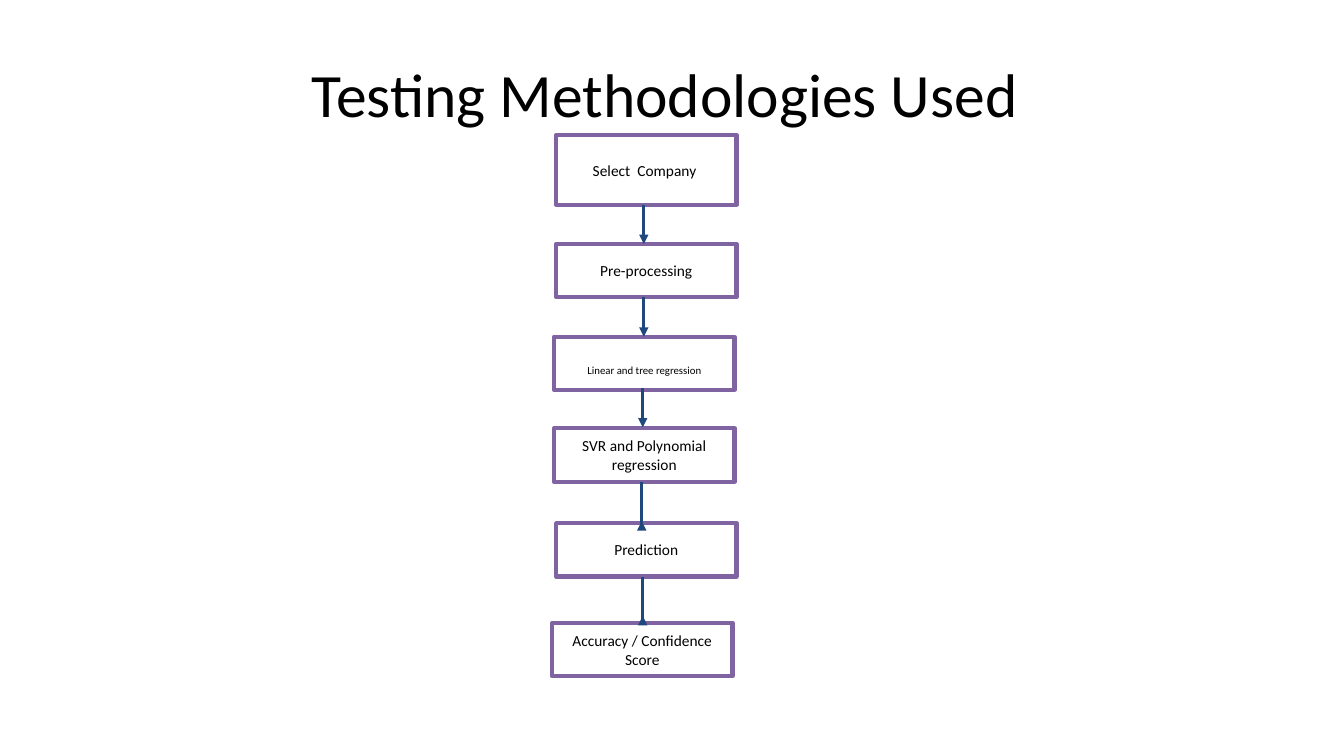
from lxml import etree
from pptx import Presentation
from pptx.dml.color import RGBColor
from pptx.enum.shapes import MSO_CONNECTOR, MSO_SHAPE
from pptx.enum.text import MSO_ANCHOR, PP_ALIGN
from pptx.oxml.ns import qn
from pptx.util import Inches, Pt

RECTANGLE = MSO_SHAPE.RECTANGLE
ELBOW = MSO_CONNECTOR.ELBOW
MIDDLE = MSO_ANCHOR.MIDDLE
CENTER = PP_ALIGN.CENTER

STEP_WIDTH = 1.79
STEPS = [
    ("Select  Company ", 5.52, 1.34, 0.69, 11, 0.05),
    ("Pre-processing", 5.52, 2.42, 0.53, 11, 0.05),
    ("Linear and tree regression", 5.5, 3.34, 0.53, 7.7, 0.19),
    ("SVR and Polynomial regression", 5.5, 4.25, 0.53, 11, 0.05),
    ("Prediction", 5.52, 5.19, 0.53, 11, 0.05),
    ("Accuracy / Confidence Score", 5.48, 6.18, 0.53, 11, 0.05),
]
ARROW_LENGTH = 0.39
ARROWS = [
    (6.39, 2.03, 0.5),
    (6.39, 2.95, 0.5),
    (6.38, 3.85, 0.5),
    (6.37, 4.78, 1.15),
    (6.38, 5.72, 1.18),
]


def color(value):
    return RGBColor.from_string(value)


def apply_format(target, values):
    for name, value in values.items():
        setattr(target, name, value)


def write_text(frame, text, size, top_inset=0.05):
    apply_format(frame, {
        "word_wrap": True,
        "vertical_anchor": MIDDLE,
        "margin_left": Inches(0.1),
        "margin_right": Inches(0.1),
        "margin_top": Inches(top_inset),
        "margin_bottom": Inches(0.05),
    })
    paragraph = frame.paragraphs[0]
    paragraph.alignment = CENTER
    run = paragraph.add_run()
    run.text = text
    apply_format(run.font, {"name": "Calibri", "size": Pt(size)})
    run.font.color.rgb = color("000000")


def set_title(slide, text):
    title = slide.shapes.title
    apply_format(title, {
        "left": Inches(0.67),
        "top": Inches(0.3),
        "width": Inches(12),
        "height": Inches(1.25),
    })
    write_text(title.text_frame, text, 44)


def add_step(slide, text, left, top, height, size, top_inset):
    step = slide.shapes.add_shape(
        RECTANGLE, Inches(left), Inches(top), Inches(STEP_WIDTH), Inches(height))
    step.shadow.inherit = False
    step.fill.solid()
    step.fill.fore_color.rgb = color("FFFFFF")
    step.line.color.rgb = color("8064A2")
    step.line.width = Pt(3)
    write_text(step.text_frame, text, size, top_inset)


def add_down_arrow(slide, x, top, turn):
    middle = Inches(top + ARROW_LENGTH / 2)
    arrow = slide.shapes.add_connector(
        ELBOW, Inches(x - ARROW_LENGTH / 2), middle,
        Inches(x + ARROW_LENGTH / 2), middle)
    arrow.line.color.rgb = color("1F497D")
    arrow.line.width = Pt(2.25)
    properties = arrow._element.spPr
    properties.find(qn("a:xfrm")).set("rot", str(90 * 60000))
    adjustments = properties.find(qn("a:prstGeom")).find(qn("a:avLst"))
    etree.SubElement(adjustments, qn("a:gd"), name="adj1",
                     fmla=f"val {round(turn * 100000)}")
    etree.SubElement(properties.find(qn("a:ln")), qn("a:tailEnd"), type="triangle")
    etree.SubElement(properties, qn("a:effectLst"))


def main():
    presentation = Presentation()
    presentation.slide_width = Inches(13.34)
    presentation.slide_height = Inches(7.5)
    slide = presentation.slides.add_slide(presentation.slide_layouts[5])
    set_title(slide, "Testing Methodologies Used ")
    for step in STEPS:
        add_step(slide, *step)
    for arrow in ARROWS:
        add_down_arrow(slide, *arrow)
    presentation.save("out.pptx")


if __name__ == "__main__":
    main()
